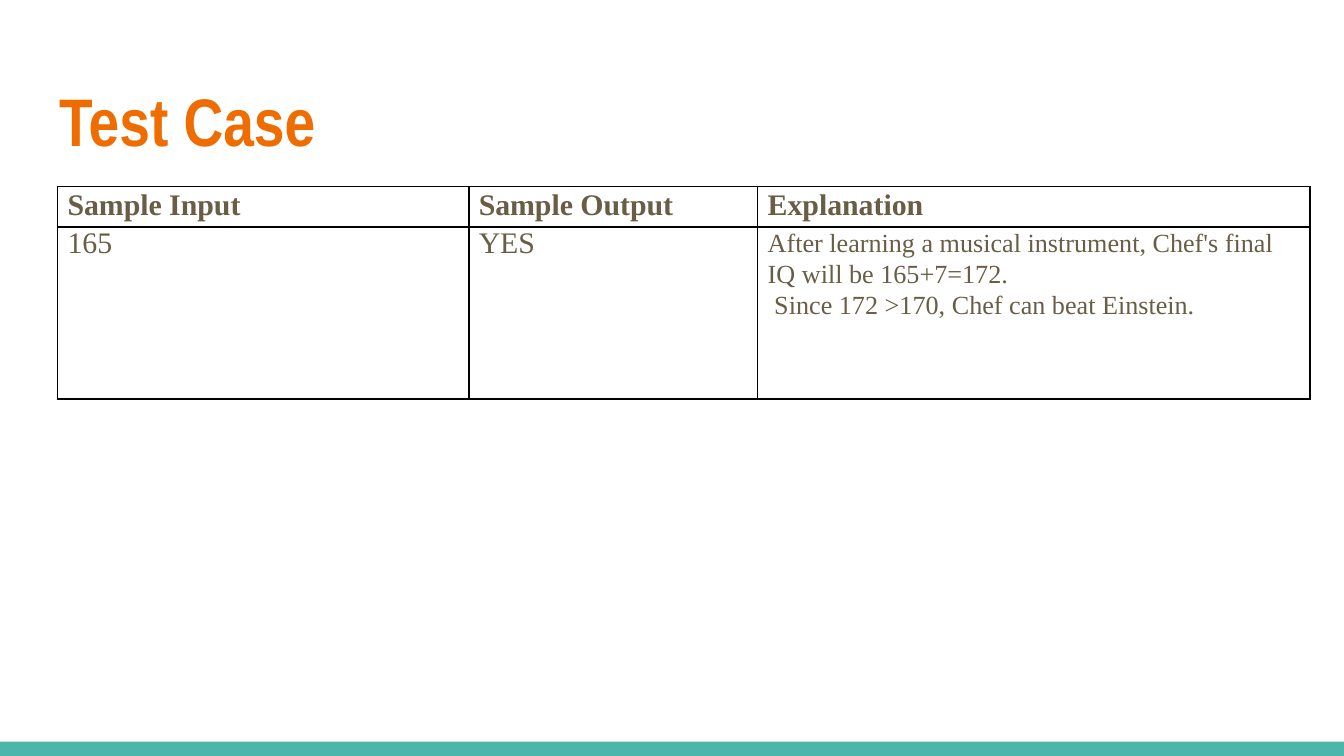
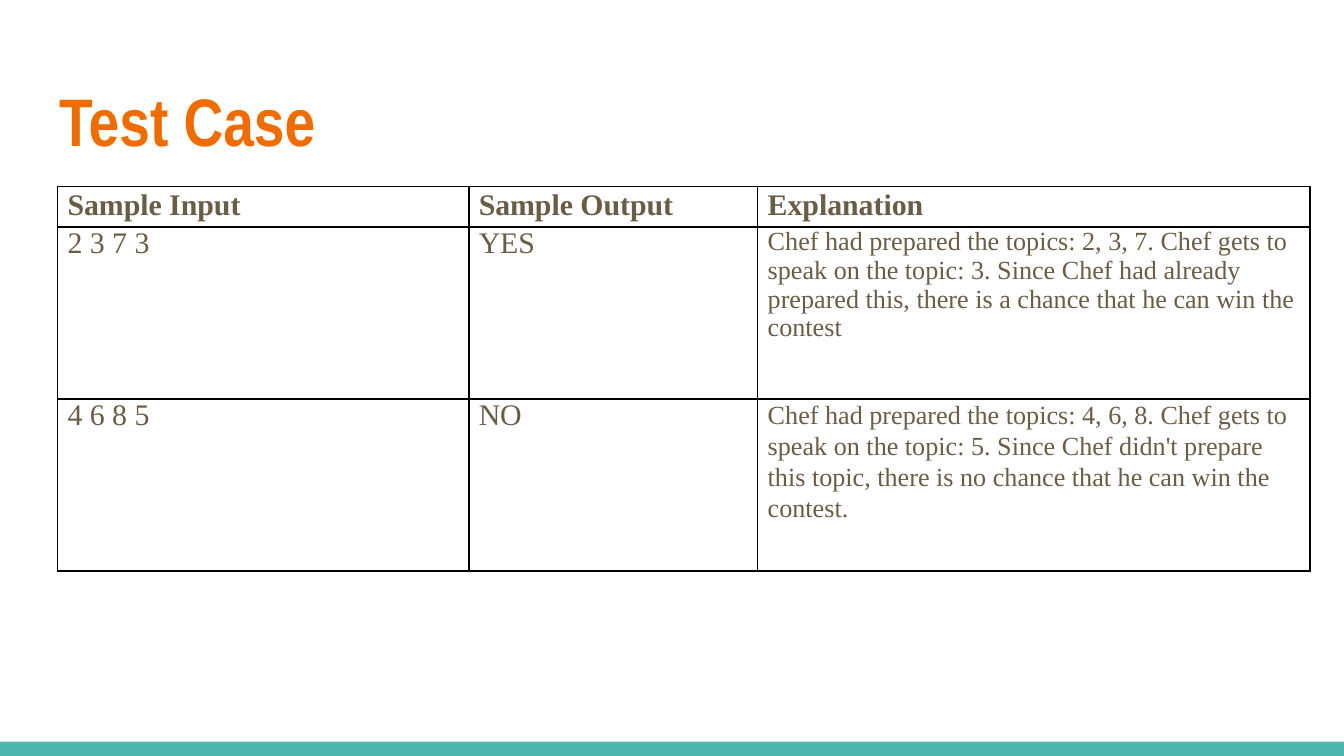
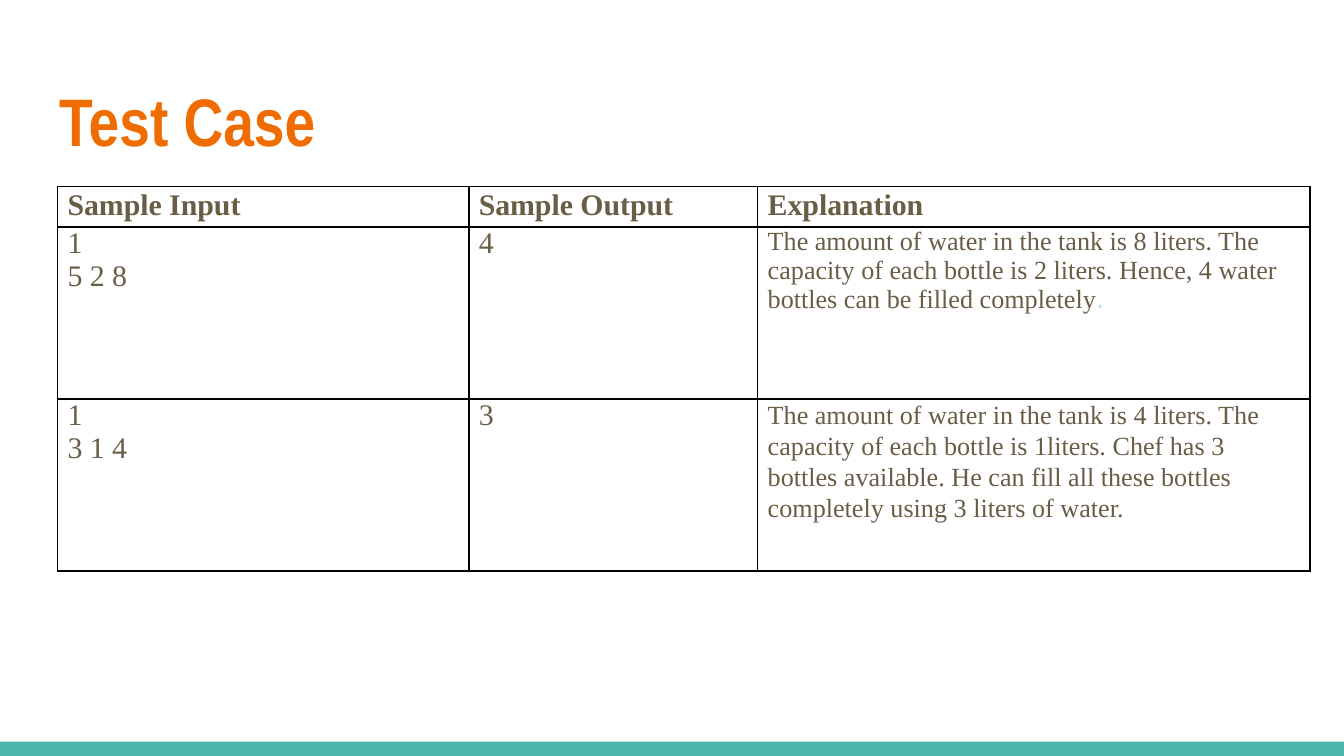
from lxml import etree
from pptx import Presentation
from pptx.dml.color import RGBColor
from pptx.enum.shapes import MSO_SHAPE
from pptx.enum.text import MSO_ANCHOR, MSO_AUTO_SIZE, PP_ALIGN
from pptx.oxml.ns import qn
from pptx.util import Pt

RECTANGLE = MSO_SHAPE.RECTANGLE
LEFT = PP_ALIGN.LEFT
TOP = MSO_ANCHOR.TOP
NO_AUTOFIT = MSO_AUTO_SIZE.NONE

ORANGE = RGBColor(0xEF, 0x6C, 0x00)
TEAL = RGBColor(0x4D, 0xB6, 0xAC)
BROWN = RGBColor(0x69, 0x5D, 0x46)
MINT = RGBColor(0xA1, 0xE8, 0xD9)
BLACK = RGBColor(0, 0, 0)

TITLE_FONT = "Arial Narrow"
TABLE_FONT = "Times New Roman"
LOOSE, SINGLE = 1.07, 1.0

COLUMN_WIDTHS = (220.3, 154.8, 295.9)
HEADER_HEIGHT, CASE_HEIGHT = 21.6, 92.2
HEADINGS = ("Sample Input", "Sample Output", "Explanation")

# One list per slide; each case is input, output, explanation, explanation line spacing
SLIDES = [
    [
        ("165", "YES",
         "After learning a musical instrument, Chef's final IQ will be 165+7=172.\n"
         " Since 172 >170, Chef can beat Einstein.", LOOSE),
    ],
    [
        ("2 3 7 3", "YES",
         "Chef had prepared the topics: 2, 3, 7. Chef gets to speak on the topic: 3. "
         "Since Chef had already prepared this, there is a chance that he can win "
         "the contest", SINGLE),
        ("4 6 8 5", "NO",
         "Chef had prepared the topics: 4, 6, 8. Chef gets to speak on the topic: 5. "
         "Since Chef didn't prepare this topic, there is no chance that he can win "
         "the contest.", LOOSE),
    ],
    [
        ("1\n5 2 8", "4",
         "The amount of water in the tank is 8 liters. The capacity of each bottle "
         "is 2 liters. Hence, 4 water bottles can be filled completely", SINGLE),
        ("1\n3 1 4", "3",
         "The amount of water in the tank is 4 liters. The capacity of each bottle "
         "is 1liters. Chef has 3 bottles available. He can fill all these bottles "
         "completely using 3 liters of water.", LOOSE),
    ],
]


def add_borders(cell):
    properties = cell._tc.get_or_add_tcPr()
    for side in ("lnL", "lnR", "lnT", "lnB"):
        line = etree.SubElement(properties, qn(f"a:{side}"), w=str(Pt(1)))
        fill = etree.SubElement(line, qn("a:solidFill"))
        etree.SubElement(fill, qn("a:srgbClr"), val=str(BLACK))


def fill_cell(cell, text, size, spacing, bold=False):
    cell.margin_left = cell.margin_right = Pt(5.4)
    cell.margin_top = cell.margin_bottom = 0
    cell.vertical_anchor = TOP
    add_borders(cell)
    cell.fill.background()
    cell.text_frame.text = text
    for paragraph in cell.text_frame.paragraphs:
        paragraph.line_spacing = spacing
        paragraph.font.name = TABLE_FONT
        paragraph.font.size = Pt(size)
        paragraph.font.bold = bold
        paragraph.font.color.rgb = BROWN


prs = Presentation()
prs.slide_width, prs.slide_height = Pt(720), Pt(405)
title_only = prs.slide_layouts[5]

for cases in SLIDES:
    slide = prs.slides.add_slide(title_only)

    band = slide.shapes.add_shape(RECTANGLE, 0, Pt(397.4), Pt(720), Pt(7.6))
    band.shadow.inherit = False
    band.fill.solid()
    band.fill.fore_color.rgb = TEAL
    band.line.fill.background()

    title = slide.shapes.title
    title.left, title.top, title.width, title.height = Pt(24.5), Pt(35.3), Pt(671), Pt(55.4)
    frame = title.text_frame
    frame.margin_left = frame.margin_right = Pt(7.2)
    frame.margin_top = frame.margin_bottom = Pt(7.2)
    frame.auto_size = NO_AUTOFIT
    frame.vertical_anchor = TOP
    frame.text = "Test Case"
    heading = frame.paragraphs[0]
    heading.alignment = LEFT
    heading.font.name = TITLE_FONT
    heading.font.size = Pt(36)
    heading.font.bold = True
    heading.font.color.rgb = ORANGE

    table = slide.shapes.add_table(
        len(cases) + 1, len(HEADINGS), Pt(30.8), Pt(100),
        Pt(sum(COLUMN_WIDTHS)), Pt(HEADER_HEIGHT + CASE_HEIGHT * len(cases))).table
    table.first_row = table.horz_banding = False
    for column, width in zip(table.columns, COLUMN_WIDTHS):
        column.width = Pt(width)
    table.rows[0].height = Pt(HEADER_HEIGHT)
    for index, label in enumerate(HEADINGS):
        fill_cell(table.cell(0, index), label, 16, LOOSE, bold=True)

    for row, (sample_input, sample_output, explanation, spacing) in enumerate(cases, 1):
        table.rows[row].height = Pt(CASE_HEIGHT)
        fill_cell(table.cell(row, 0), sample_input, 16, SINGLE)
        fill_cell(table.cell(row, 1), sample_output, 16, SINGLE)
        fill_cell(table.cell(row, 2), explanation, 14, spacing)

# The first explanation on the last slide ends in a pale full stop
full_stop = table.cell(1, 2).text_frame.paragraphs[0].add_run()
full_stop.text = "."
full_stop.font.name = "Arial"
full_stop.font.color.rgb = MINT

prs.save("out.pptx")
